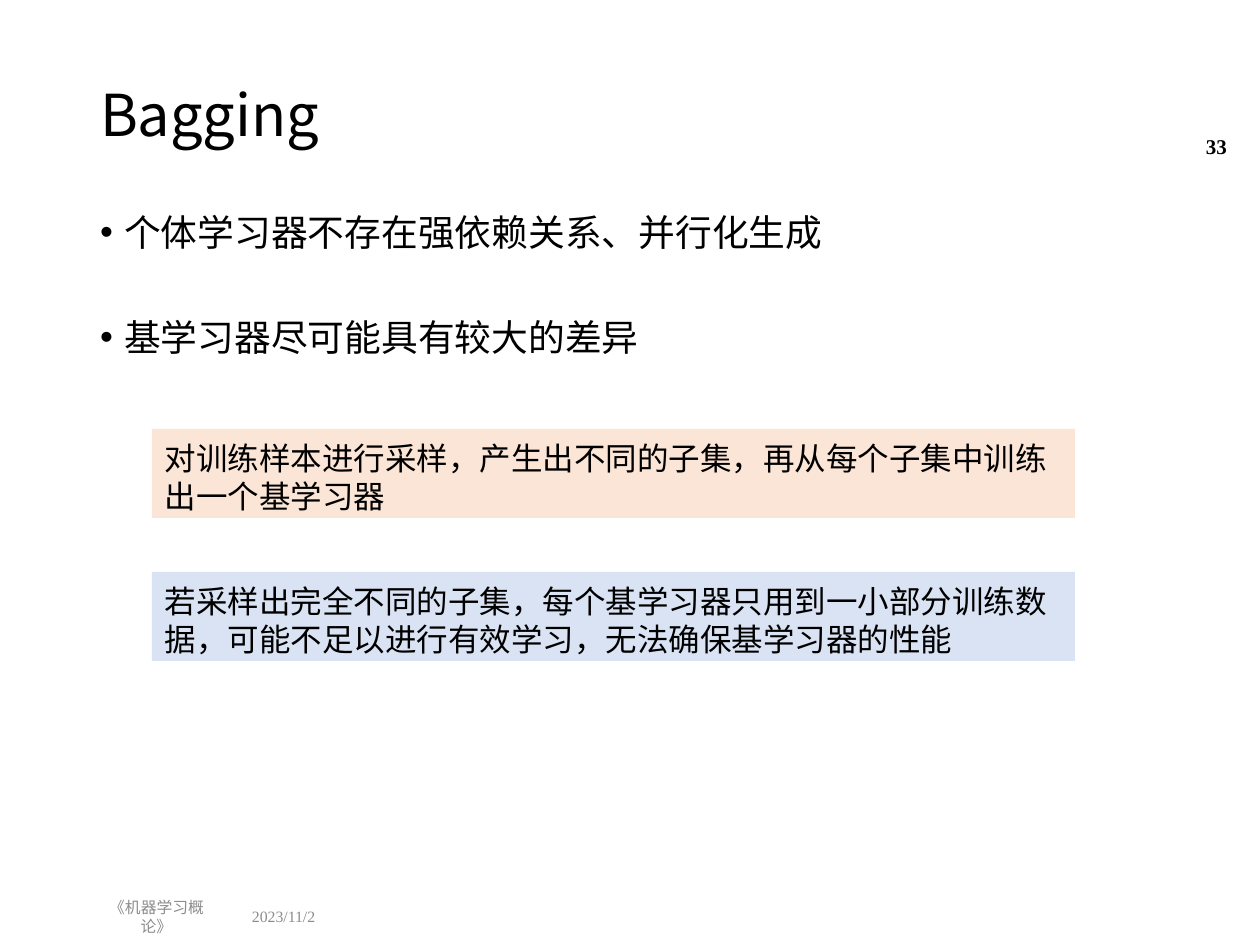
from lxml.etree import SubElement
from pptx import Presentation
from pptx.dml.color import RGBColor
from pptx.enum.shapes import MSO_SHAPE as Preset
from pptx.enum.text import MSO_ANCHOR as Anchor, MSO_AUTO_SIZE as AutoSize, PP_ALIGN as Align
from pptx.oxml.ns import qn
from pptx.util import Emu, Pt

BLACK = RGBColor(0x00, 0x00, 0x00)
GREY = RGBColor(0x8C, 0x8C, 0x8C)
PEACH = RGBColor(0xFB, 0xE5, 0xD6)
PALE_BLUE = RGBColor(0xDA, 0xE3, 0xF3)
SERIF = "Times New Roman"
SANS = "Noto Sans CJK SC"
PX = 914400 / 126


def px(length):
    return Emu(round(length * PX))


def apply(target, values):
    for name, value in values.items():
        setattr(target, name, value)


class Page:
    def __init__(self, deck):
        self.slide = deck.slides.add_slide(deck.slide_layouts[1])

    def place(self, box, area):
        apply(box, dict(zip(("left", "top", "width", "height"), map(px, area))))

    def frame(self, box, anchor, top=6):
        frame = box.text_frame
        apply(frame, {
            "word_wrap": True, "auto_size": AutoSize.NONE, "vertical_anchor": anchor,
            "margin_left": px(13), "margin_right": px(13),
            "margin_top": px(top), "margin_bottom": px(6),
        })
        return frame

    def add_text(self, para, text, size, font=SERIF, color=BLACK, bold=False, **layout):
        apply(para, {"alignment": Align.LEFT, "space_before": Pt(0), **layout})
        span = para.add_run()
        span.text = text
        apply(span.font, {"size": Pt(size), "name": font, "bold": bold})
        span.font.color.rgb = color
        SubElement(span.font._element, qn("a:ea"), typeface=SANS)

    def title(self, text, area):
        box = self.slide.shapes.title
        self.place(box, area)
        frame = self.frame(box, Anchor.MIDDLE)
        self.add_text(frame.paragraphs[0], text, 33, SANS, line_spacing=0.9)

    def bullets(self, items, area):
        box = self.slide.placeholders[1]
        self.place(box, area)
        frame = self.frame(box, Anchor.TOP, 10)
        for index, item in enumerate(items):
            para = frame.add_paragraph() if index else frame.paragraphs[0]
            props = para._p.get_or_add_pPr()
            for name, value in {"marL": px(24), "indent": -px(24)}.items():
                props.set(name, str(value))
            SubElement(props, qn("a:buFont"), typeface="Arial")
            SubElement(props, qn("a:buChar"), char="•")
            self.add_text(para, item, 21, line_spacing=Pt(23),
                          space_before=Pt(37 if index else 0))

    def label(self, text, area, size, **style):
        box = self.slide.shapes.add_textbox(0, 0, 0, 0)
        self.place(box, area)
        frame = self.frame(box, Anchor.MIDDLE)
        self.add_text(frame.paragraphs[0], text, size, **style)

    def panel(self, text, area, fill):
        box = self.slide.shapes.add_shape(Preset.RECTANGLE, 0, 0, 0, 0)
        self.place(box, area)
        box.shadow.inherit = False
        box.fill.solid()
        box.fill.fore_color.rgb = fill
        box.line.fill.background()
        frame = self.frame(box, Anchor.TOP, 10)
        self.add_text(frame.paragraphs[0], text, 18, line_spacing=Pt(21.7))


def main():
    deck = Presentation()
    apply(deck, {"slide_width": px(1260), "slide_height": px(945)})
    page = Page(deck)
    page.title("Bagging", (87, 50, 1086, 135))
    page.bullets(["个体学习器不存在强依赖关系、并行化生成", "基学习器尽可能具有较大的差异"],
                 (87, 204, 1086, 679))
    page.label("2023/11/2", (239, 898, 115, 37), 9, color=GREY)
    page.label("《机器学习概论》", (87, 898, 139, 37), 9, color=GREY,
               alignment=Align.CENTER, line_spacing=Pt(10.85))
    page.label("33", (1153, 121, 87, 50), 12, bold=True, alignment=Align.RIGHT)
    panels = [
        ("对训练样本进行采样，产生出不同的子集，再从每个子集中训练出一个基学习器", PEACH),
        ("若采样出完全不同的子集，每个基学习器只用到一小部分训练数据，"
         "可能不足以进行有效学习，无法确保基学习器的性能", PALE_BLUE),
    ]
    for row, (text, fill) in enumerate(panels):
        page.panel(text, (152, 429 + 143 * row, 923, 89), fill)
    deck.save("out.pptx")


if __name__ == "__main__":
    main()
